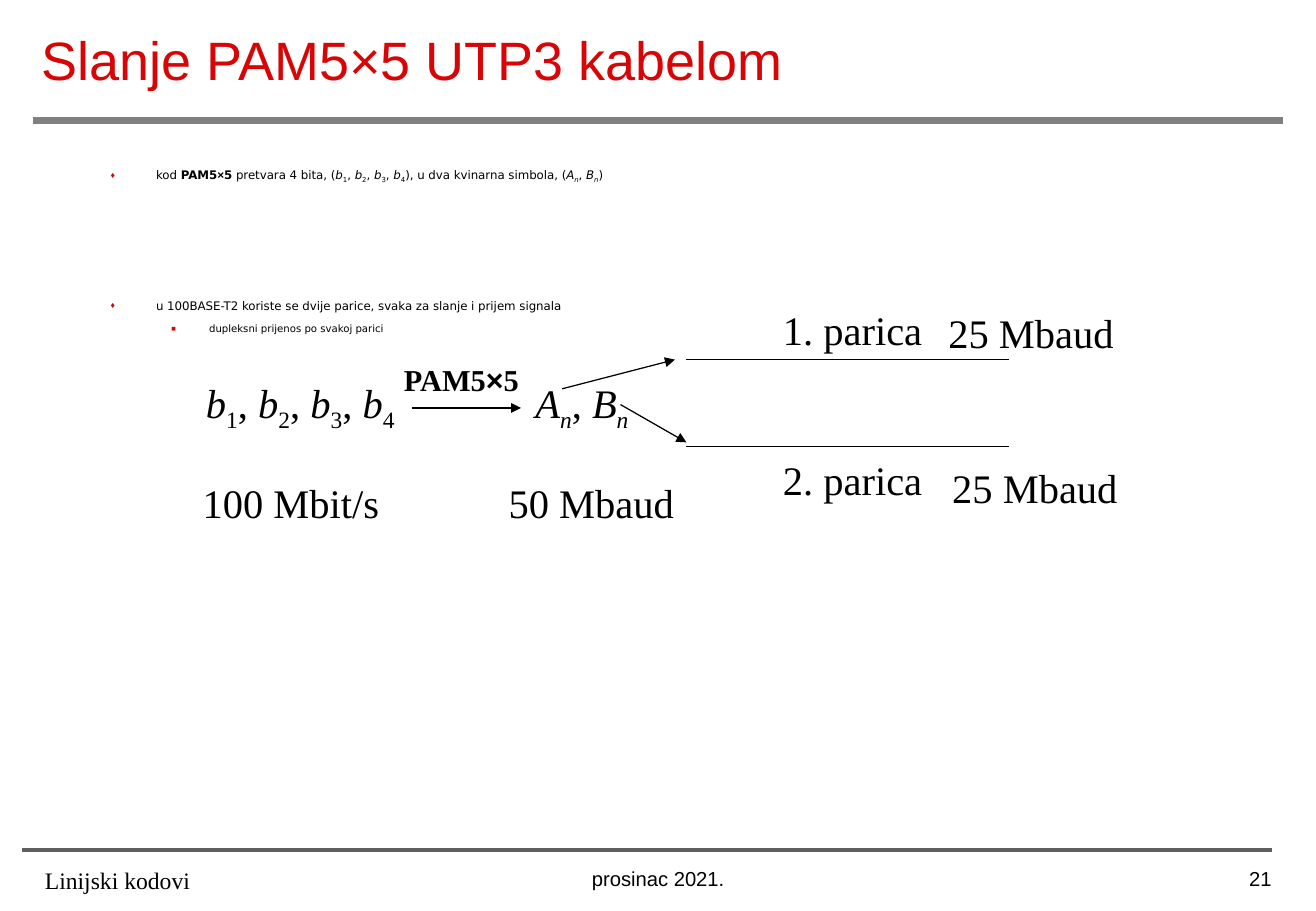
from lxml import etree
from pptx import Presentation
from pptx.dml.color import RGBColor
from pptx.enum.shapes import MSO_CONNECTOR
from pptx.enum.text import MSO_ANCHOR, MSO_AUTO_SIZE, PP_ALIGN
from pptx.oxml.ns import qn
from pptx.util import Cm, Pt

STRAIGHT = MSO_CONNECTOR.STRAIGHT
LEFT, CENTER, RIGHT = PP_ALIGN.LEFT, PP_ALIGN.CENTER, PP_ALIGN.RIGHT
MIDDLE, TOP = MSO_ANCHOR.MIDDLE, MSO_ANCHOR.TOP
NO_FIT = MSO_AUTO_SIZE.NONE
SANS, SERIF, BODY = "Arial", "Times New Roman", "DejaVu Sans"
COLORS = {"red": "D70505", "black": "000000", "header": "808080", "footer": "5F5F5F"}


def write_runs(paragraph, runs, size, font, color="black"):
    """Add (text, style) runs; style letters: b bold, i italic, s subscript, a Arial."""
    for text, style in runs:
        run = paragraph.add_run()
        run.text = text
        formats = {"size": Pt(size), "name": SANS if "a" in style else font,
                   "bold": "b" in style, "italic": "i" in style}
        for attribute, value in formats.items():
            setattr(run.font, attribute, value)
        run.font.color.rgb = RGBColor.from_string(COLORS[color])
        if "s" in style:
            run._r.get_or_add_rPr().set("baseline", "-25000")


def draw_line(start, end, color="black", width=0.75, arrow=False):
    line = slide.shapes.add_connector(STRAIGHT, *map(Cm, start + end))
    line.line.color.rgb = RGBColor.from_string(COLORS[color])
    line.line.width = Pt(width)
    if arrow:
        etree.SubElement(line.line._get_or_add_ln(), qn("a:tailEnd"), type="triangle")
    etree.SubElement(line._element.spPr, qn("a:effectLst"))


prs = Presentation()
prs.slide_width, prs.slide_height = Cm(27.53), Cm(19.05)
slide = prs.slides.add_slide(prs.slide_layouts[1])
title, body = slide.placeholders

# Header and footer rules
draw_line((0.69, 2.52), (26.83, 2.52), "header", 4.25)
draw_line((0.46, 17.78), (26.6, 17.78), "footer", 2.25)

# Title and list
for placeholder, anchor, box in [
    (title, MIDDLE, (0.61, -0.06, 23.39, 2.59)),
    (body, TOP, (2.06, 3.38, 24.1, 2.95)),
]:
    for side, length in zip(("left", "top", "width", "height"), box):
        setattr(placeholder, side, Cm(length))
    placeholder.text_frame.vertical_anchor = anchor
    placeholder.text_frame.auto_size = NO_FIT

heading = title.text_frame.paragraphs[0]
heading.alignment = LEFT
write_runs(heading, [("Slanje PAM5×5 UTP3 kabelom", "")], 32, SANS, "red")

code_name = [("PAM5", "b"), ("×", "ba"), ("5", "b")]
bits = [("b", "i"), ("1", "s")]
for number in "234":
    bits += [(", ", ""), ("b", "i"), (number, "s")]
symbols = [("A", "i"), ("n", "is"), (", ", ""), ("B", "i"), ("n", "is")]

code_item = [("kod ", ""), *code_name, (" pretvara 4 bita, (", ""), *bits,
             ("), u dva kvinarna simbola, (", ""), *symbols, (")", "")]
pairs_item = [("u 100BASE-T2 koriste se dvije parice, svaka za slanje i prijem signala", "")]
duplex_item = [("dupleksni prijenos po svakoj parici", "")]

# runs, level, size, space before, bullet, left margin, hanging indent
list_items = [
    (code_item, 0, 7, 0, "♦", 0.95, 0.95),
    (pairs_item, 0, 7, 68, "♦", 0.95, 0.95),
    (duplex_item, 1, 6, 6, "■", 2.06, 0.79),
]
for index, (runs, level, size, gap, bullet, margin, hanging) in enumerate(list_items):
    frame = body.text_frame
    item = frame.add_paragraph() if index else frame.paragraphs[0]
    item.level = level
    item.space_before = Pt(gap)
    properties = item._p.get_or_add_pPr()
    properties.set("marL", str(Cm(margin)))
    properties.set("indent", str(-Cm(hanging)))
    bullet_color = etree.SubElement(properties, qn("a:buClr"))
    etree.SubElement(bullet_color, qn("a:srgbClr"), val=COLORS["red"])
    etree.SubElement(properties, qn("a:buSzPct"), val="75000")
    etree.SubElement(properties, qn("a:buFont"), typeface=SANS)
    etree.SubElement(properties, qn("a:buChar"), char=bullet)
    write_runs(item, runs, size, BODY)

# Coding diagram: arrows and the two pairs
for start, end in [
    ((8.61, 8.53), (10.9, 8.53)),
    ((11.76, 8.13), (14.12, 7.52)),
    ((12.98, 8.46), (14.36, 9.25)),
]:
    draw_line(start, end, arrow=True)
for pair_y in (7.52, 9.33):
    draw_line((14.36, pair_y), (21.11, pair_y))

# Diagram labels: runs, size, left, top, width, height
diagram_labels = [
    (bits, 24, (4.06, 7.77, 5, 1.42)),
    (symbols, 24, (10.95, 7.77, 3, 1.42)),
    (code_name, 18, (8.2, 7.42, 3.5, 1.02)),
    ([("1. parica", "")], 24, (16.13, 6.25, 4, 1.27)),
    ([("2. parica", "")], 24, (16.13, 9.39, 4, 1.27)),
    ([("100 Mbit/s", "")], 24, (3.99, 9.87, 5, 1.27)),
    ([("50 Mbaud", "")], 24, (10.39, 9.87, 4.5, 1.27)),
    ([("25 Mbaud", "")], 24, (19.59, 6.32, 4.5, 1.27)),
    ([("25 Mbaud", "")], 24, (19.67, 9.56, 4.5, 1.27)),
]
for runs, size, box in diagram_labels:
    label = slide.shapes.add_textbox(*map(Cm, box)).text_frame
    label.word_wrap = True
    label.auto_size = NO_FIT
    write_runs(label.paragraphs[0], runs, size, SERIF)

# Footer
for text, left, width, align, size, font in [
    ("Linijski kodovi", 0.69, 8.71, LEFT, 14, SERIF),
    ("prosinac 2021.", 10.9, 5.74, CENTER, 12, SANS),
    ("21", 21.11, 5.74, RIGHT, 12, SANS),
]:
    footer = slide.shapes.add_textbox(Cm(left), Cm(17.99), Cm(width), Cm(1.06)).text_frame
    footer.word_wrap = True
    footer.paragraphs[0].alignment = align
    write_runs(footer.paragraphs[0], [(text, "")], size, font)

prs.save("out.pptx")
